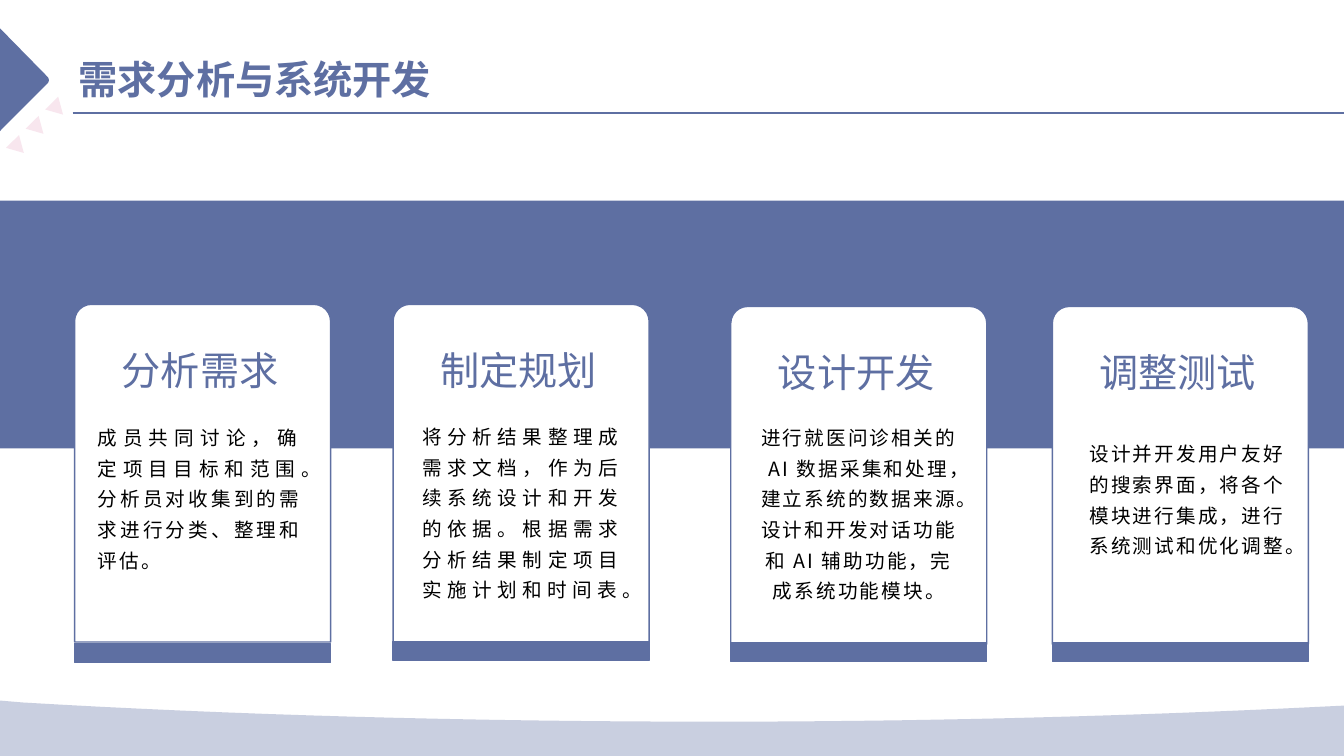
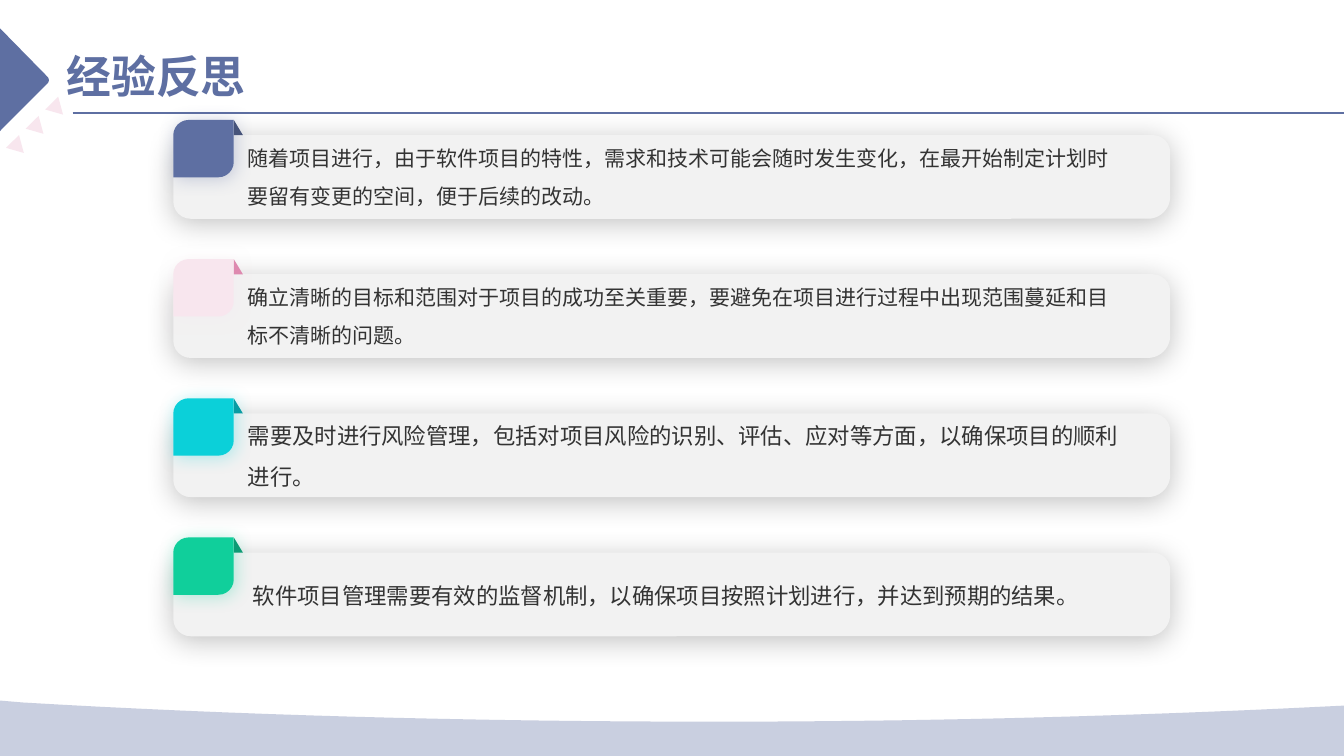
from dataclasses import dataclass

from lxml import etree
from pptx import Presentation
from pptx.dml.color import RGBColor
from pptx.enum import shapes, text
from pptx.oxml import ns
from pptx.util import Pt

SHAPE = shapes.MSO_SHAPE
ALIGN = text.PP_ALIGN
ANCHOR = text.MSO_ANCHOR


@dataclass(frozen=True)
class Theme:
    font: str = "Noto Sans CJK SC"
    primary: str = "5E6FA2"
    blush: str = "F8E6EE"
    white: str = "FFFFFF"
    panel: str = "F2F2F2"
    black: str = "000000"
    ink: str = "333333"
    cyan: str = "0BD0D9"
    green: str = "10CF9B"
    primary_fold: str = "46537A"
    blush_fold: str = "DE89AF"
    cyan_fold: str = "089CA3"
    green_fold: str = "0C9B74"
    title: int = 28
    title_large: int = 32
    heading: int = 28
    body: int = 14
    lesson: int = 15
    lesson_large: int = 16


THEME = Theme()


def rgb(value):
    return RGBColor.from_string(value)


def add_xml(parent, tag, **attributes):
    values = {name: str(value) for name, value in attributes.items()}
    return etree.SubElement(parent, ns.qn(tag), values)


def curve(start, pull, push, end, steps=16):
    points = []
    for step in range(steps + 1):
        t = step / steps
        weights = ((1 - t) ** 3, 3 * t * (1 - t) ** 2, 3 * t * t * (1 - t), t ** 3)
        corners = (start, pull, push, end)
        points.append(tuple(sum(w * c[axis] for w, c in zip(weights, corners)) for axis in (0, 1)))
    return points


class Deck:
    def __init__(self, theme):
        self.theme = theme
        self.file = Presentation()
        self.file.slide_width = Pt(960)
        self.file.slide_height = Pt(540)
        self.slide = None

    def new_slide(self, title, box, size):
        self.slide = self.file.slides.add_slide(self.file.slide_layouts[5])
        self.backdrop()
        heading = self.slide.shapes.title
        heading.left, heading.top, heading.width, heading.height = map(Pt, box)
        self.typeset(heading.text_frame, [(title, 0)], size, self.theme.primary, bold=True)

    def backdrop(self):
        for step in range(3):
            marker = self.shape(SHAPE.ISOSCELES_TRIANGLE,
                                (6.5 + 14 * step, 99.4 - 13.7 * step, 13, 11.5), self.theme.blush)
            marker.rotation = 135.5
        tip = curve((33.8, 54.7), (35.3, 56.2), (35.3, 58.3), (33.8, 59.8))
        self.outline([(0, 20.2), *tip, (0, 93.6)], self.theme.primary)
        self.rule((51.8, 80.6), (960, 80.6))
        crest = (511.2, 515.5)
        right = curve((914.4, 506.2), (790.6, 511.9), (653.8, 515.5), crest)
        left = curve(crest, (331.9, 515.5), (163.4, 510.5), (16.6, 501.8))
        self.outline([(0, 500.4), (0, 540), (960, 540), (960, 504), *right, *left[1:]],
                     self.theme.primary, opacity=33)

    def paint(self, shape, fill, line=None):
        shape.shadow.inherit = False
        shape.fill.solid()
        shape.fill.fore_color.rgb = rgb(fill)
        if line:
            shape.line.color.rgb = rgb(line)
            shape.line.width = Pt(1)
        else:
            shape.line.fill.background()
        return shape

    def shape(self, preset, box, fill, line=None, corners=()):
        shape = self.slide.shapes.add_shape(preset, *map(Pt, box))
        for index, corner in enumerate(corners):
            shape.adjustments[index] = corner
        return self.paint(shape, fill, line)

    def outline(self, points, fill, opacity=100):
        corners = [(Pt(x), Pt(y)) for x, y in points]
        builder = self.slide.shapes.build_freeform(*corners[0])
        builder.add_line_segments(corners[1:])
        shape = self.paint(builder.convert_to_shape(), fill)
        if opacity < 100:
            color = shape.element.spPr.find(ns.qn("a:solidFill"))[0]
            add_xml(color, "a:alpha", val=opacity * 1000)

    def rule(self, start, end):
        rule = self.slide.shapes.add_connector(shapes.MSO_CONNECTOR.STRAIGHT, *map(Pt, start + end))
        rule.line.color.rgb = rgb(self.theme.primary)
        rule.line.width = Pt(1.5)
        add_xml(rule.element.spPr, "a:effectLst")

    def shadow(self, shape, color, opacity, blur, distance, angle):
        effects = shape.element.spPr.find(ns.qn("a:effectLst"))
        outer = add_xml(effects, "a:outerShdw", blurRad=Pt(blur), dist=Pt(distance),
                        dir=angle * 60000, algn="ctr", rotWithShape=0)
        add_xml(add_xml(outer, "a:srgbClr", val=color), "a:alpha", val=opacity * 1000)

    def typeset(self, frame, paragraphs, size, color, bold=False, align=ALIGN.LEFT,
                spacing=1.0, anchor=ANCHOR.TOP):
        frame.word_wrap = True
        frame.auto_size = text.MSO_AUTO_SIZE.NONE
        frame.vertical_anchor = anchor
        frame.text = "\n".join(words for words, _ in paragraphs)
        for paragraph, (_, tracking) in zip(frame.paragraphs, paragraphs):
            paragraph.alignment = align
            paragraph.line_spacing = spacing
            for run in paragraph.runs:
                run.font.size = Pt(size)
                run.font.bold = bold
                run.font.color.rgb = rgb(color)
                run.font.name = self.theme.font
                properties = run._r.get_or_add_rPr()
                add_xml(properties, "a:ea", typeface=self.theme.font)
                if tracking:
                    properties.set("spc", str(int(tracking * 100)))

    def label(self, box, paragraphs, size, color, **style):
        frame = self.slide.shapes.add_textbox(*map(Pt, box)).text_frame
        self.typeset(frame, paragraphs, size, color, **style)
        return frame

    def card(self, left, top, foot, heading, body_box, paragraphs, align):
        theme = self.theme
        self.shape(SHAPE.ROUND_2_SAME_RECTANGLE, (left, top, 182.9, 241.2), theme.white,
                   theme.primary, (0.066, 0))
        self.shape(SHAPE.RECTANGLE, (left, foot, 182.9, 13.7), theme.primary, theme.primary)
        self.label((left + 26.6, top + 19.4, 129.6, 44.6), [(heading, 0)], theme.heading,
                   theme.primary, spacing=1.2)
        self.label(body_box, paragraphs, theme.body, theme.black, align=align, spacing=1.3)

    def lesson(self, top, color, fold, words, size, indent):
        theme = self.theme
        panel = self.shape(SHAPE.ROUND_2_DIAG_RECTANGLE, (123.8, top + 10.8, 712.1, 59.8),
                           theme.panel, corners=(0.267, 0.208))
        self.shadow(panel, theme.black, 23, 20, 3, 107)
        tab = self.shape(SHAPE.ROUND_2_DIAG_RECTANGLE, (123.8, top, 43.2, 41), color,
                         corners=(0.267, 0))
        self.shadow(tab, color, 31, 13, 2, 45)
        self.shape(SHAPE.RIGHT_TRIANGLE, (167, top, 6.5, 10.8), fold)
        frame = self.label((169.9, top + 11.2, 643.7, 59), [(words, 0)], size, theme.ink,
                           spacing=1.5, anchor=ANCHOR.MIDDLE)
        frame.margin_left = Pt(7.2 + indent)
        frame.margin_top = 0
        frame.margin_bottom = Pt(8.64)


CARDS = [
    (53.3, 217.4, 459.7, "分析需求", (62.6, 295.9, 159.8, 167.8),
     [("成员共同讨论，确定项目目标和范围。", 3),
      ("分析员对收集到的需求进行分类、整理和评估。", 1.5)], ALIGN.JUSTIFY),
    (280.8, 217.4, 458.2, "制定规划", (294.5, 295.2, 157, 181.4),
     [("将分析结果整理成需求文档，作为后续系统设计和开发的依据。"
       "根据需求分析结果制定项目实施计划和时间表。", 3)], ALIGN.JUSTIFY),
    (522, 218.9, 459, "设计开发", (535, 295.9, 157, 137.5),
     [("进行就医问诊相关的 AI 数据采集和处理，建立系统的数据来源。"
       "设计和开发对话功能和 AI 辅助功能，完成系统功能模块。", 1.5)], ALIGN.CENTER),
    (751.7, 218.9, 459, "调整测试", (771.1, 307.4, 154.1, 115.2),
     [("设计并开发用户友好的搜索界面，将各个模块进行集成，"
       "进行系统测试和优化调整。", 1.5)], ALIGN.LEFT),
]

LESSONS = [
    (THEME.primary, THEME.primary_fold,
     "随着项目进行，由于软件项目的特性，需求和技术可能会随时发生变化，"
     "在最开始制定计划时要留有变更的空间，便于后续的改动。", THEME.lesson, 0),
    (THEME.blush, THEME.blush_fold,
     "确立清晰的目标和范围对于项目的成功至关重要，"
     "要避免在项目进行过程中出现范围蔓延和目标不清晰的问题。", THEME.lesson, 0),
    (THEME.cyan, THEME.cyan_fold,
     "需要及时进行风险管理，包括对项目风险的识别、评估、应对等方面，"
     "以确保项目的顺利进行。", THEME.lesson_large, 0),
    (THEME.green, THEME.green_fold,
     "软件项目管理需要有效的监督机制，以确保项目按照计划进行，并达到预期的结果。",
     THEME.lesson_large, 3.6),
]


def main():
    deck = Deck(THEME)

    deck.new_slide("需求分析与系统开发", (49, 36, 290, 41), THEME.title)
    deck.shape(SHAPE.RECTANGLE, (0, 143.3, 960, 177.1), THEME.primary)
    for card in CARDS:
        deck.card(*card)

    deck.new_slide("经验反思", (40.3, 31, 405.4, 46), THEME.title_large)
    for row, lesson in enumerate(LESSONS):
        deck.lesson(85.7 + 99.4 * row, *lesson)

    deck.file.save("out.pptx")


if __name__ == "__main__":
    main()
